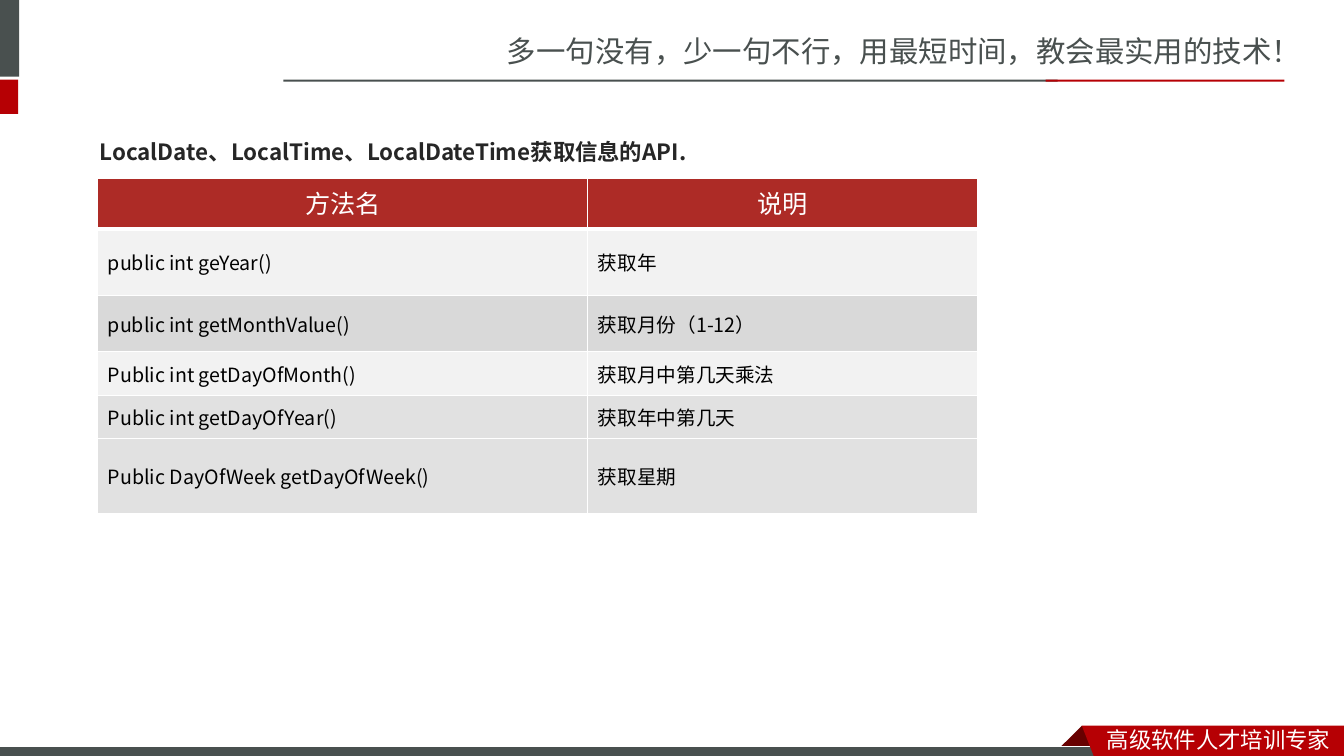
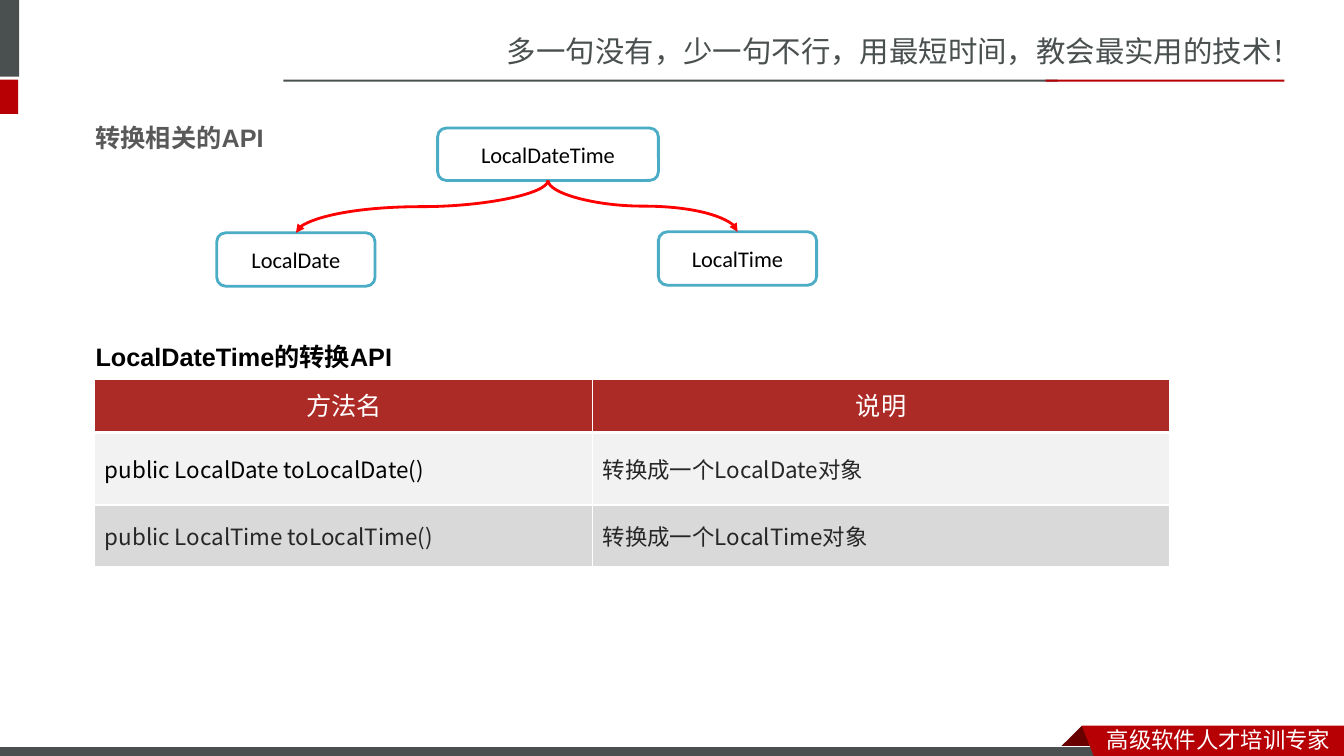
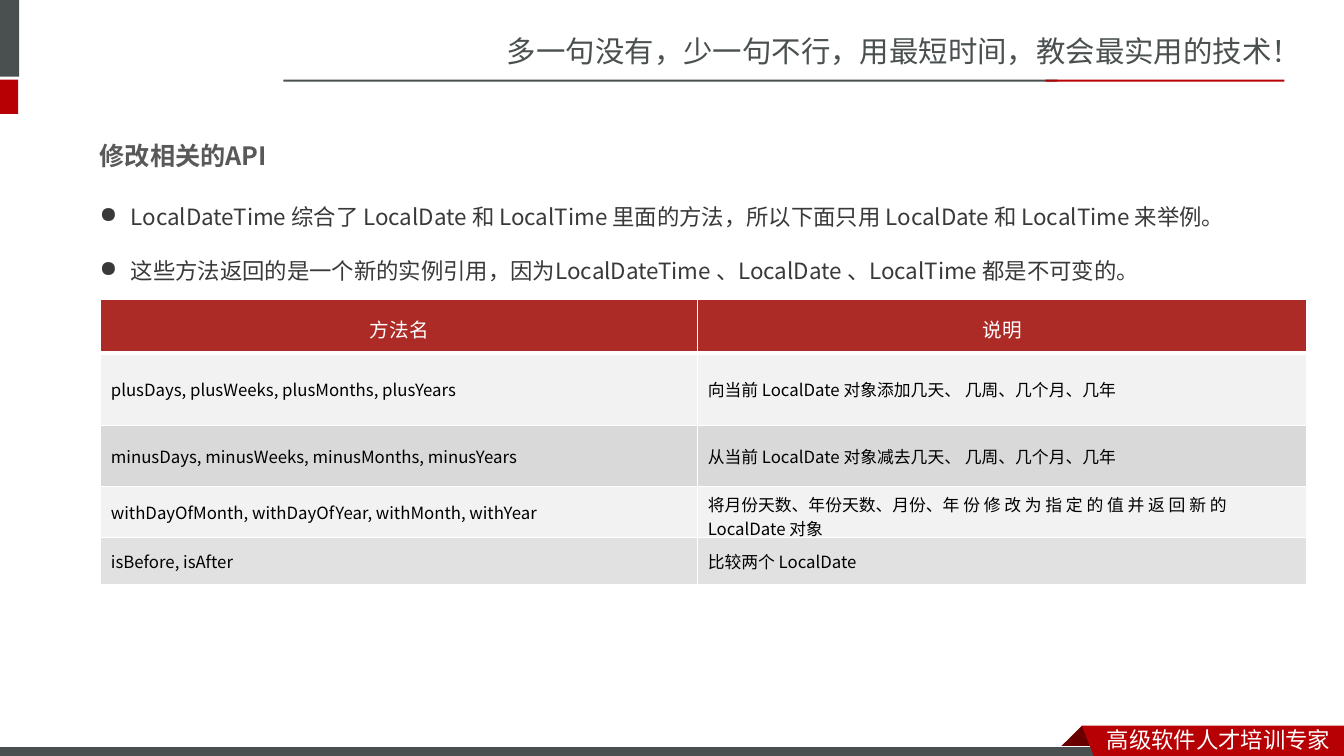
from lxml.etree import SubElement
from pptx import Presentation
from pptx.dml.color import RGBColor
from pptx.enum.shapes import MSO_CONNECTOR as CONN, MSO_SHAPE as SHAPE
from pptx.enum.text import MSO_ANCHOR as ANCHOR, MSO_AUTO_SIZE as AUTO, PP_ALIGN as ALIGN
from pptx.oxml.ns import qn
from pptx.util import Inches, Pt

SANS = "Noto Sans CJK SC"
BODY = "Noto Sans CJK JP"
SLATE, RED, DARK_RED = "49504F", "B60004", "680000"
WHITE, BLACK, INK, GREY = "FFFFFF", "000000", "262626", "595959"
HEADER, LIGHT, MID, PALE = "AD2B26", "F2F2F2", "D9D9D9", "E1E1E1"
TEAL, ARROW = "4BACC6", "FF0000"
HEADINGS = ("方法名", "说明")


def rgb(color):
    return RGBColor.from_string(color)


def write(p, text, size=16, font=BODY, color=BLACK, bold=False, align=None, spacing=None):
    """Add one formatted run to a paragraph."""
    if align is not None:
        p.alignment = align
    if spacing is not None:
        p.line_spacing = spacing
    r = p.add_run()
    r.text = text
    f = r.font
    f.size, f.name, f.bold = Pt(size), font, bold
    f.color.rgb = rgb(color)
    east_asian = font if font in (SANS, BODY) else SANS
    SubElement(r._r.get_or_add_rPr(), qn("a:ea"), typeface=east_asian)


def add_text(s, box, *texts, bullet=None, **fmt):
    """Add a text box with one paragraph for each text."""
    tf = s.shapes.add_textbox(*map(Inches, box)).text_frame
    tf.word_wrap = True
    tf.auto_size = AUTO.SHAPE_TO_FIT_TEXT
    for i, text in enumerate(texts):
        p = tf.add_paragraph() if i else tf.paragraphs[0]
        write(p, text, **fmt)
        if bullet:
            pPr = p._p.get_or_add_pPr()
            pPr.set("marL", str(Inches(0.31)))
            pPr.set("indent", str(Inches(-0.31)))
            SubElement(pPr, qn("a:buChar"), char=bullet)


def paint(sp, fill, line=None, width=0.75):
    sp.shadow.inherit = False
    sp.fill.solid()
    sp.fill.fore_color.rgb = rgb(fill)
    if line:
        sp.line.color.rgb = rgb(line)
        sp.line.width = Pt(width)
    else:
        sp.line.fill.background()


def add_box(s, box, fill, line=None, width=0.75, shape=SHAPE.RECTANGLE):
    sp = s.shapes.add_shape(shape, *map(Inches, box))
    paint(sp, fill, line, width)
    return sp


def add_outline(s, points, fill):
    start, *rest = [(Inches(x), Inches(y)) for x, y in points]
    builder = s.shapes.build_freeform(*start)
    builder.add_line_segments(rest)
    paint(builder.convert_to_shape(), fill)


def add_frame(s):
    """Draw the slogan, corner marks, rule and footer ribbon."""
    add_text(s, (4.93, 0.28, 8.41, 0.47), "多一句没有，少一句不行，用最短时间，教会最实用的技术！",
             size=21, font=SANS, color=SLATE)
    for box, color in (((-0.06, 0, 0.25, 0.76), SLATE), ((-0.06, 0.79, 0.24, 0.34), RED),
                       ((2.81, 0.79, 7.68, 0.02), SLATE), ((10.37, 0.79, 2.37, 0.02), RED)):
        add_box(s, box, color)
    add_outline(s, [(10.73, 7.2), (10.95, 7.42), (10.94, 7.43), (10.52, 7.43), (10.51, 7.42)], DARK_RED)
    add_box(s, (-0.01, 7.41, 11, 0.12), SLATE, line=WHITE)
    add_outline(s, [(10.73, 7.2), (13.33, 7.2), (13.33, 7.54), (10.86, 7.53)], RED)
    add_text(s, (10.88, 7.15, 2.45, 0.37), "高级软件人才培训专家", font=SANS, color=WHITE)


def set_cell(cell, text, fill, top=1, bottom=1, **fmt):
    tcPr = cell._tc.get_or_add_tcPr()
    for side, width in (("L", 1), ("R", 1), ("T", top), ("B", bottom)):
        ln = SubElement(tcPr, qn(f"a:ln{side}"), w=str(Pt(width)))
        SubElement(SubElement(ln, qn("a:solidFill")), qn("a:srgbClr"), val=WHITE)
    cell.fill.solid()
    cell.fill.fore_color.rgb = rgb(fill)
    cell.vertical_anchor = ANCHOR.MIDDLE
    write(cell.text_frame.paragraphs[0], text, **fmt)


def add_method_table(s, at, widths, heights, rows, fills, size, head_size=18, head_font="Lato", color=BLACK):
    """Add a table of methods under the shared red heading row."""
    box = (*at, sum(widths), sum(heights))
    table = s.shapes.add_table(len(heights), len(widths), *map(Inches, box)).table
    table.first_row = table.horz_banding = False
    for col, width in zip(table.columns, widths):
        col.width = Inches(width)
    for row, height in zip(table.rows, heights):
        row.height = Inches(height)
    for cell, text in zip(table.rows[0].cells, HEADINGS):
        set_cell(cell, text, HEADER, bottom=3, size=head_size, font=head_font,
                 color=WHITE, align=ALIGN.CENTER, spacing=Pt(24))
    for i, (texts, fill) in enumerate(zip(rows, fills), 1):
        for cell, text in zip(table.rows[i].cells, texts):
            set_cell(cell, text, fill, top=3 if i == 1 else 1, size=size, color=color)
    return table


def add_node(s, box, text):
    sp = add_box(s, box, WHITE, TEAL, 2, SHAPE.ROUNDED_RECTANGLE)
    sp.text_frame.vertical_anchor = ANCHOR.MIDDLE
    write(sp.text_frame.paragraphs[0], text, font="Calibri", align=ALIGN.CENTER)
    return sp


def link_down(s, parent, child):
    """Draw a curved arrow that leaves the parent's bottom vertically."""
    x1, y1 = parent.left + parent.width // 2, parent.top + parent.height
    x2, y2 = child.left + child.width // 2, child.top
    c = s.shapes.add_connector(CONN.CURVE, x1, y1, x2, y2)
    c.begin_connect(parent, 2)
    c.end_connect(child, 0)
    # A quarter turn makes the curve start vertically, so the sides swap.
    c.width, c.height = y2 - y1, abs(x2 - x1)
    c.left, c.top = (x1 + x2 - c.width) // 2, (y1 + y2 - c.height) // 2
    xfrm = c._element.spPr.find(qn("a:xfrm"))
    xfrm.set("rot", str((90 if x2 < x1 else 270) * 60000))
    xfrm.set("flipH", "0" if x2 < x1 else "1")
    c.line.color.rgb = rgb(ARROW)
    c.line.width = Pt(2)
    SubElement(c.line._get_or_add_ln(), qn("a:tailEnd"), type="triangle")
    SubElement(c._element.spPr, qn("a:effectLst"))


def add_conversion_tree(s, x, y):
    root = add_node(s, (x + 2.19, y, 2.19, 0.52), "LocalDateTime")
    date = add_node(s, (x, y + 1.04, 1.57, 0.53), "LocalDate")
    time = add_node(s, (x + 4.38, y + 1.03, 1.57, 0.53), "LocalTime")
    for child in (date, time):
        link_down(s, root, child)


def getter_slide(s):
    add_text(s, (0.89, 1.19, 11.59, 0.87), "LocalDate、LocalTime、LocalDateTime获取信息的API.",
             color=INK, bold=True, spacing=1.5)
    rows = [("public int geYear()", "获取年"),
            ("public int getMonthValue()", "获取月份（1-12）"),
            ("Public int getDayOfMonth()", "获取月中第几天乘法"),
            ("Public int getDayOfYear()", "获取年中第几天"),
            ("Public DayOfWeek getDayOfWeek()", "获取星期")]
    add_method_table(s, (0.97, 1.77), (4.86, 3.87), (0.5, 0.66, 0.56, 0.43, 0.43, 0.75),
                     rows, (LIGHT, MID, LIGHT, PALE, PALE), size=14)


def conversion_slide(s):
    add_text(s, (0.85, 1.01, 12.4, 0.51), "转换相关的API",
             size=18, font="Arial", color=GREY, bold=True, spacing=1.5)
    add_conversion_tree(s, 2.15, 1.27)
    add_text(s, (0.85, 3.34, 7.07, 0.4), "LocalDateTime的转换API", size=18, font="Arial", bold=True)
    rows = [("public LocalDate toLocalDate()", "转换成一个LocalDate对象"),
            ("public LocalTime toLocalTime()", "转换成一个LocalTime对象")]
    table = add_method_table(s, (0.94, 3.76), (4.94, 5.72), (0.53, 0.72, 0.61),
                             rows, (LIGHT, MID), size=16, color=INK)
    first = table.cell(1, 0).text_frame.paragraphs[0].runs[0]
    first.font.color.rgb = rgb(BLACK)


def modifier_slide(s):
    add_text(s, (0.89, 1.19, 11.59, 0.51), "修改相关的API", size=18, color=GREY, bold=True, spacing=1.5)
    rows = [("plusDays, plusWeeks, plusMonths, plusYears", "向当前 LocalDate 对象添加几天、 几周、几个月、几年"),
            ("minusDays, minusWeeks, minusMonths, minusYears", "从当前 LocalDate 对象减去几天、 几周、几个月、几年"),
            ("withDayOfMonth, withDayOfYear, withMonth, withYear",
             "将月份天数、年份天数、月份、年 份 修 改 为 指 定 的 值 并 返 回 新 的 LocalDate 对象"),
            ("isBefore, isAfter", "比较两个 LocalDate")]
    add_method_table(s, (1, 2.97), (5.92, 6.04), (0.53, 0.72, 0.61, 0.47, 0.47),
                     rows, (LIGHT, MID, LIGHT, PALE), size=12, head_size=14, head_font=BODY)
    add_text(s, (0.89, 1.7, 12.4, 1.11),
             "LocalDateTime 综合了 LocalDate 和 LocalTime 里面的方法，所以下面只用 LocalDate 和 LocalTime 来举例。",
             "这些方法返回的是一个新的实例引用，因为LocalDateTime 、LocalDate 、LocalTime 都是不可变的。",
             bullet="●", color="393939", spacing=2.0)


def main():
    prs = Presentation()
    prs.slide_width, prs.slide_height = Inches(13.33), Inches(7.5)
    for build in (getter_slide, conversion_slide, modifier_slide):
        s = prs.slides.add_slide(prs.slide_layouts[6])
        add_frame(s)
        build(s)
    prs.save("out.pptx")


if __name__ == "__main__":
    main()
